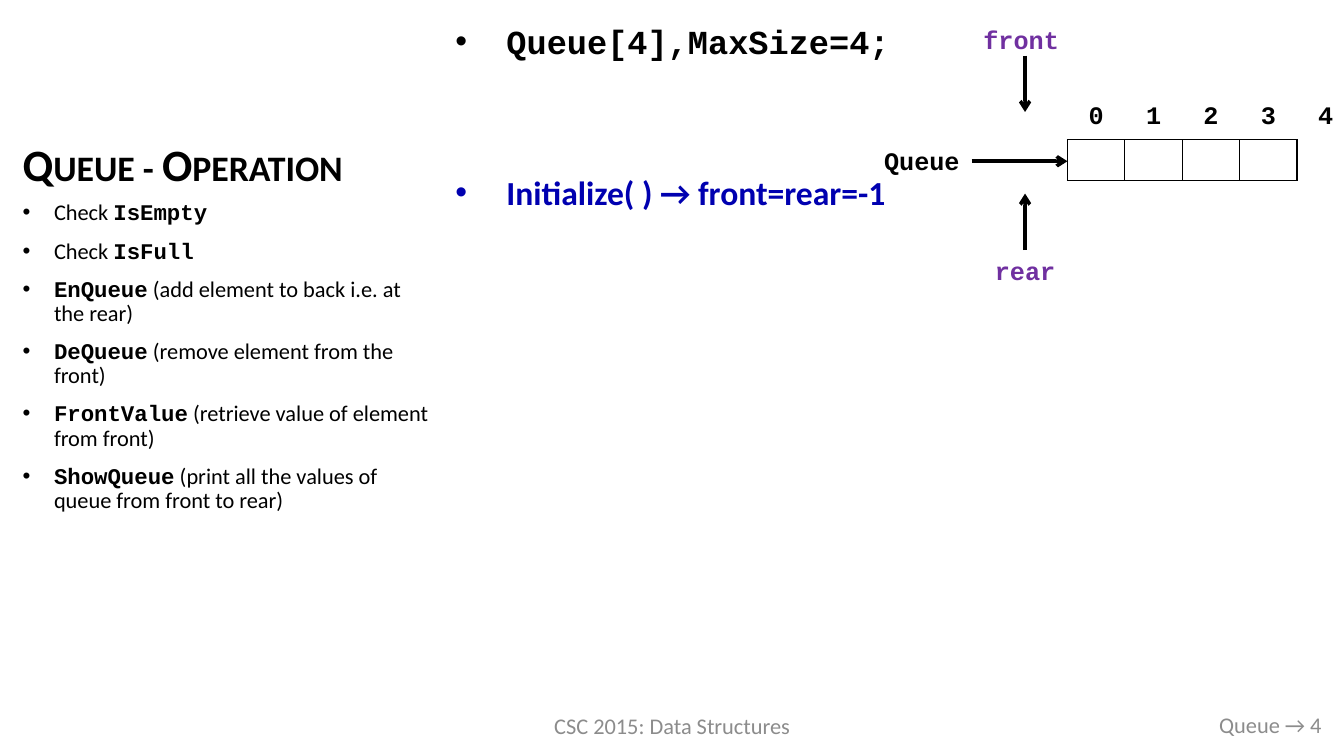
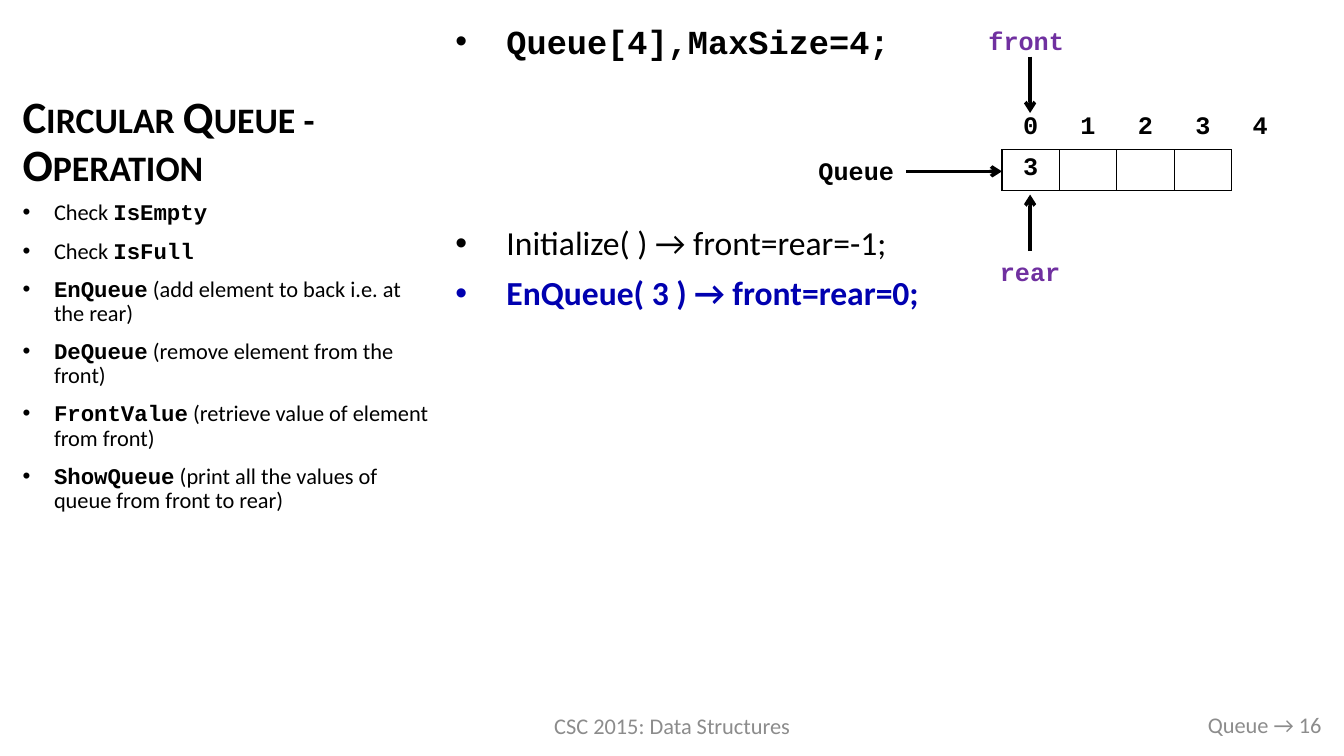
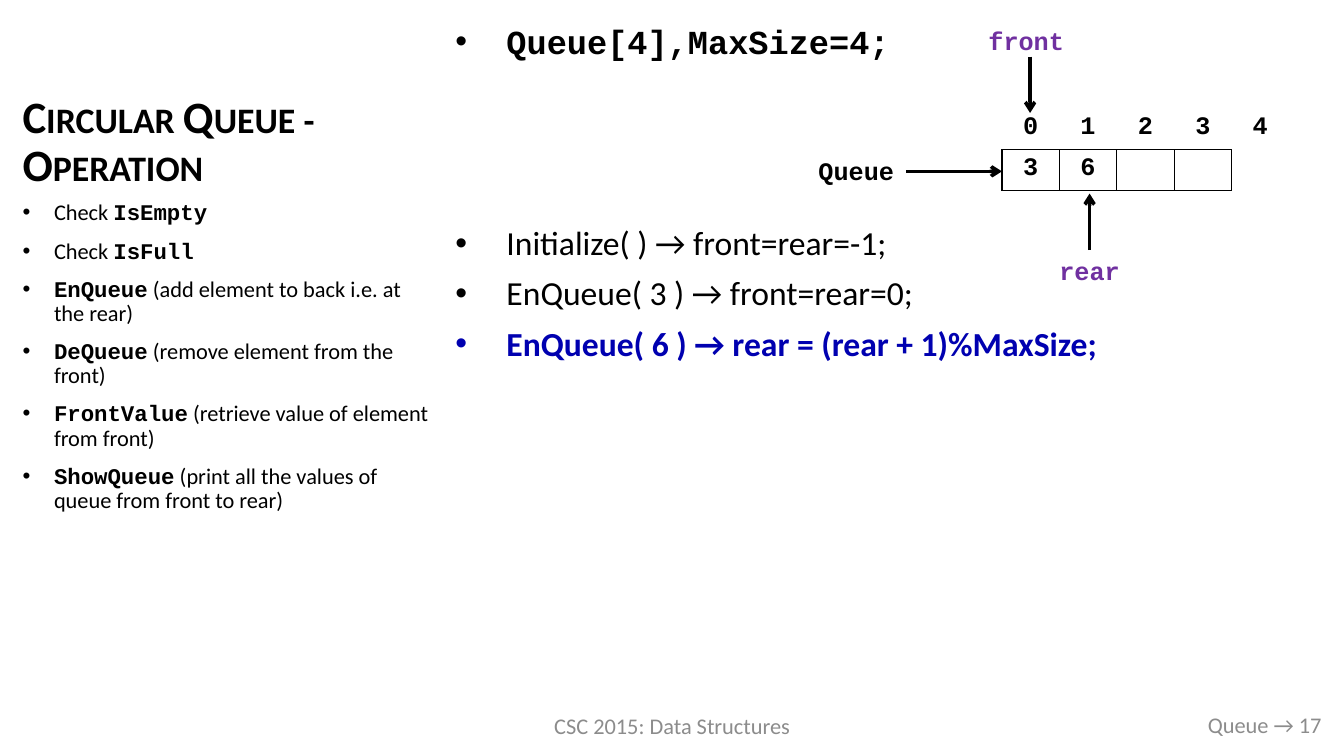
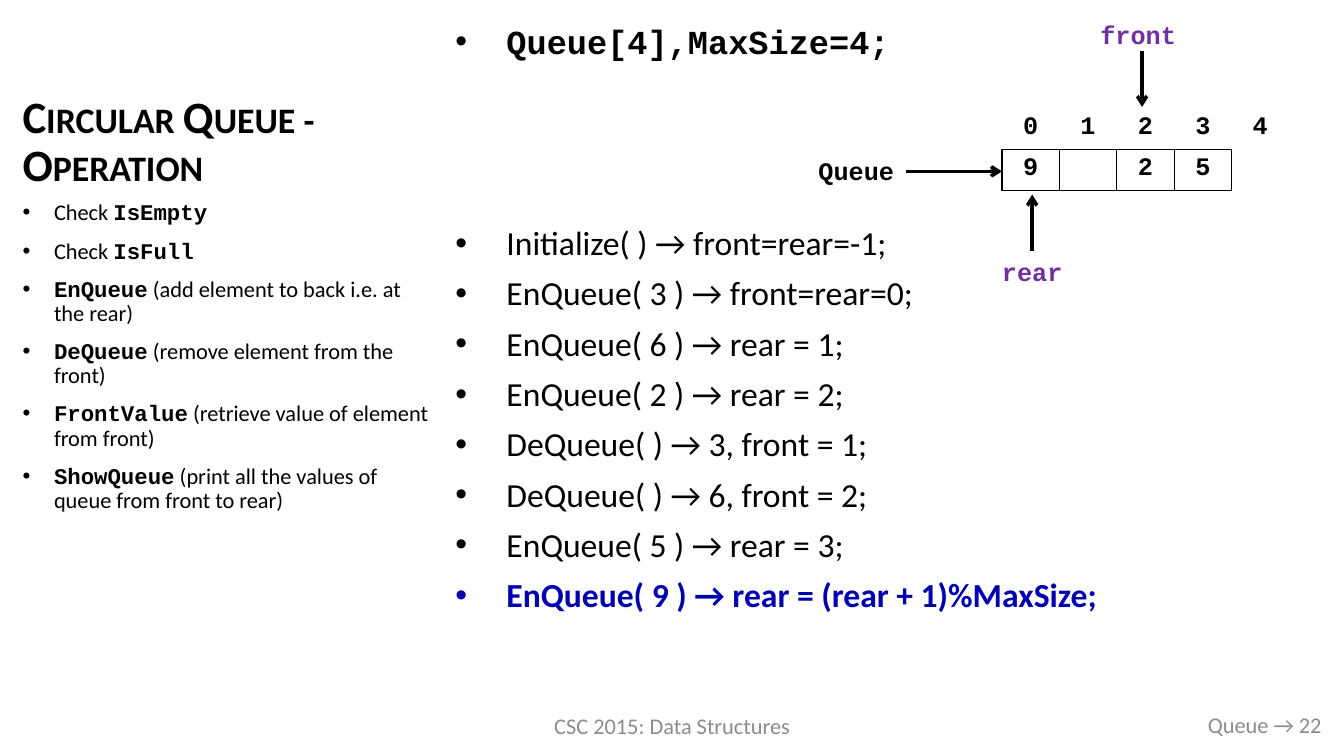
from dataclasses import dataclass

from pptx import Presentation
from pptx.dml.color import RGBColor
from pptx.enum.shapes import MSO_CONNECTOR
from pptx.enum.text import MSO_ANCHOR, PP_ALIGN
from pptx.oxml.ns import qn
from pptx.util import Pt
from lxml.etree import SubElement

BLACK, BLUE, PURPLE, GREY = "000000", "0000B0", "7030A0", "8C8C8C"
SANS, MONO = "Calibri", "Courier New"
TITLE_BOX = (9, 14.4, 309.6, 126)
METHODS_BOX = (9, 140.4, 309.6, 360.7)
STEPS_BOX = (318.2, 14.4, 609.1, 486.7)
COURSE_BOX = (318.2, 504, 324, 28.8)
NUMBER_BOX = (678.2, 503.3, 272.9, 28.8)
CELL_WIDTH, CELL_HEIGHT = 41, 29.2
CAPACITY = 4
LABEL_HEIGHT = 28.8
POINTER_LENGTH = 40.3
STEP_HEIGHT = 36

METHODS = [
    [("Check ", False), ("IsEmpty", True)],
    [("Check ", False), ("IsFull", True)],
    [("EnQueue", True), (" (add element to back i.e. at the rear)", False)],
    [("DeQueue", True), (" (remove element from the front)", False)],
    [("FrontValue", True), (" (retrieve value of element from front)", False)],
    [("ShowQueue", True),
     (" (print all the values of queue from front to rear)", False)],
]


@dataclass
class QueueState:
    title: str
    number: int
    skipped_lines: int
    steps: list
    values: dict
    array_at: tuple
    front_at: tuple
    rear_at: tuple


CIRCULAR = "Circular Queue - Operation"
CIRCULAR_ARRAY = (715.7, 77.8)
STATES = [
    QueueState("Queue - Operation", 4, 2,
               ["Initialize( ) → front=rear=-1"],
               {}, (762.5, 70.6), (732.2, 13.7), (732.2, 178.6)),
    QueueState(CIRCULAR, 16, 3,
               ["Initialize( ) → front=rear=-1;",
                "EnQueue( 3 ) → front=rear=0;"],
               {0: "3"}, CIRCULAR_ARRAY, (735.8, 14.4), (735.8, 179.3)),
    QueueState(CIRCULAR, 17, 3,
               ["Initialize( ) → front=rear=-1;",
                "EnQueue( 3 ) → front=rear=0;",
                "EnQueue( 6 ) → rear = (rear + 1)%MaxSize;"],
               {0: "3", 1: "6"}, CIRCULAR_ARRAY, (735.8, 14.4), (778.3, 178.6)),
    QueueState(CIRCULAR, 22, 3,
               ["Initialize( ) → front=rear=-1;",
                "EnQueue( 3 ) → front=rear=0;",
                "EnQueue( 6 ) → rear = 1;",
                "EnQueue( 2 ) → rear = 2;",
                "DeQueue( ) → 3, front = 1;",
                "DeQueue( ) → 6, front = 2;",
                "EnQueue( 5 ) → rear = 3;",
                "EnQueue( 9 ) → rear = (rear + 1)%MaxSize;"],
               {0: "9", 2: "2", 3: "5"}, CIRCULAR_ARRAY,
               (815.8, 10.1), (737.3, 179.3)),
]


def color(value):
    return RGBColor.from_string(value)


def set_font(font, size, name=SANS, fill=BLACK, bold=False):
    font.size = Pt(size)
    font.name = name
    font.bold = bold
    font.color.rgb = color(fill)


def add_box(page, area, anchor=MSO_ANCHOR.TOP):
    box = page.shapes.add_textbox(*map(Pt, area))
    frame = box.text_frame
    frame.word_wrap = True
    frame.vertical_anchor = anchor
    return frame


def add_label(page, area, text, size, align, name=SANS, fill=BLACK, bold=False,
              anchor=MSO_ANCHOR.TOP):
    para = add_box(page, area, anchor).paragraphs[0]
    para.alignment = align
    para.add_run().text = text
    set_font(para.font, size, name, fill, bold)
    return para


def add_bullet(frame, index, indent, space=10):
    para = frame.add_paragraph() if index else frame.paragraphs[0]
    properties = para._p.get_or_add_pPr()
    properties.set("marL", str(Pt(indent)))
    properties.set("indent", str(-Pt(indent)))
    SubElement(properties, qn("a:buFont")).set("typeface", "Arial")
    SubElement(properties, qn("a:buChar")).set("char", "•")
    para.line_spacing = 0.9
    if index:
        para.space_before = Pt(space)
    return para


def add_arrow(page, start, end):
    arrow = page.shapes.add_connector(
        MSO_CONNECTOR.STRAIGHT, *map(Pt, start), *map(Pt, end))
    arrow.line.color.rgb = color(BLACK)
    arrow.line.width = Pt(2.5)
    SubElement(arrow.line._get_or_add_ln(), qn("a:tailEnd")).set("type", "arrow")
    SubElement(arrow._element.spPr, qn("a:effectLst"))


def add_title(page, area, text):
    para = add_label(page, area, text, 32, PP_ALIGN.LEFT, bold=True,
                     anchor=MSO_ANCHOR.BOTTOM)
    para.line_spacing = 0.9
    para.runs[0]._r.get_or_add_rPr().set("cap", "small")


def add_methods(page, area):
    frame = add_box(page, area)
    for index, parts in enumerate(METHODS):
        para = add_bullet(frame, index, 22.5)
        set_font(para.font, 16)
        for text, is_code in parts:
            span = para.add_run()
            span.text = text
            if is_code:
                span.font.name = MONO
                span.font.bold = True


def add_steps(page, area, state):
    frame = add_box(page, area)
    para = add_bullet(frame, 0, 36.5)
    para.add_run().text = "Queue[4],MaxSize=4;"
    set_font(para.font, 24, MONO, bold=True)
    for index, step in enumerate(state.steps, 1):
        gap = 10 + STEP_HEIGHT * state.skipped_lines if index == 1 else 10
        para = add_bullet(frame, index, 36.5, gap)
        para.add_run().text = step
        current = index == len(state.steps)
        set_font(para.font, 24, fill=BLUE if current else BLACK, bold=current)


def set_borders(cell, drawn):
    properties = cell._tc.get_or_add_tcPr()
    for side in "LRTB":
        line = SubElement(properties, qn(f"a:ln{side}"))
        line.set("w", str(Pt(1)))
        if side in drawn:
            fill = SubElement(line, qn("a:solidFill"))
            SubElement(fill, qn("a:srgbClr")).set("val", BLACK)
        else:
            SubElement(line, qn("a:noFill"))


def add_array(page, left, top, values):
    columns = CAPACITY + 1
    table = page.shapes.add_table(
        2, columns, Pt(left), Pt(top),
        Pt(columns * CELL_WIDTH), Pt(2 * CELL_HEIGHT)).table
    table.first_row = table.horz_banding = False
    for row in table.rows:
        row.height = Pt(CELL_HEIGHT)
    for column in range(columns):
        table.columns[column].width = Pt(CELL_WIDTH)
        inside = column < CAPACITY
        entries = [(str(column), "B" if inside else ""),
                   (values.get(column, ""), "LRTB" if inside else "L")]
        for row, (text, borders) in enumerate(entries):
            cell = table.cell(row, column)
            set_borders(cell, borders)
            cell.fill.background()
            para = cell.text_frame.paragraphs[0]
            para.alignment = PP_ALIGN.CENTER
            if text:
                para.add_run().text = text
            set_font(para.font, 18, MONO, bold=True)

    middle = top + 1.5 * CELL_HEIGHT + 0.8
    start = left - 68.4
    add_label(page, (start - 71.3, middle - 14.8, 71.3, LABEL_HEIGHT),
              "Queue", 18, PP_ALIGN.CENTER, MONO, bold=True)
    add_arrow(page, (start, middle), (left, middle))


def add_front(page, x, top):
    add_label(page, (x - 39.5, top, 73.4, LABEL_HEIGHT),
              "front", 18, PP_ALIGN.CENTER, MONO, PURPLE, True)
    start = top + 26
    add_arrow(page, (x, start), (x, start + POINTER_LENGTH))


def add_rear(page, x, top):
    add_label(page, (x - 30.25, top, 60.5, LABEL_HEIGHT),
              "rear", 18, PP_ALIGN.CENTER, MONO, PURPLE, True)
    add_arrow(page, (x, top), (x, top - POINTER_LENGTH))


def add_footer(page, number):
    for area, text, align in [
            (COURSE_BOX, "CSC 2015: Data Structures", PP_ALIGN.CENTER),
            (NUMBER_BOX, f"Queue → {number}", PP_ALIGN.RIGHT)]:
        add_label(page, area, text, 16, align, fill=GREY,
                  anchor=MSO_ANCHOR.MIDDLE)


def add_queue_page(deck, state):
    page = deck.slides.add_slide(deck.slide_layouts[6])
    add_title(page, TITLE_BOX, state.title)
    add_steps(page, STEPS_BOX, state)
    add_methods(page, METHODS_BOX)
    add_footer(page, state.number)
    add_array(page, *state.array_at, state.values)
    add_rear(page, *state.rear_at)
    add_front(page, *state.front_at)


def main():
    deck = Presentation()
    deck.slide_width, deck.slide_height = Pt(960), Pt(540)
    for state in STATES:
        add_queue_page(deck, state)
    deck.save("out.pptx")


if __name__ == "__main__":
    main()
